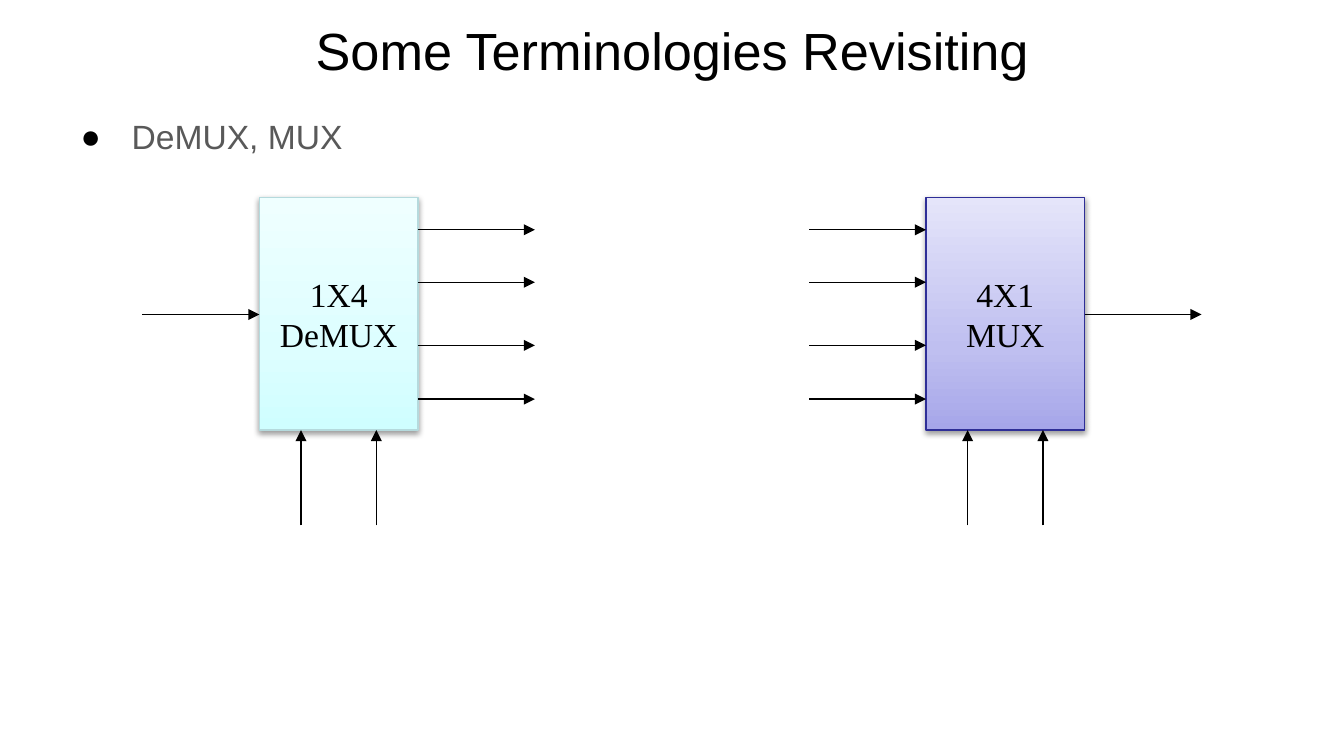
import pptx
import pptx.dml.color
import pptx.enum.shapes
import pptx.enum.text
import pptx.oxml
import pptx.oxml.ns
import pptx.util

Inches = pptx.util.Inches
Pt = pptx.util.Pt
ALIGN = pptx.enum.text.PP_ALIGN
ANCHOR = pptx.enum.text.MSO_ANCHOR

COLORS = {
    "ink": "000000",
    "body": "595959",
    "demux_line": "B5DADD",
    "mux_line": "2E2E97",
}
GRADIENTS = {
    "demux": ((0, "CFFEFF"), (35, "DDFEFF"), (100, "EFFFFF")),
    "mux": ((0, "A6A6E9"), (35, "BFBFF0"), (100, "E5E5FA")),
}
PAGE_WIDTH = 10
PAGE_HEIGHT = PAGE_WIDTH * 9 / 16
BLOCK_TOP, BLOCK_WIDTH, BLOCK_HEIGHT = 1.47, 1.18, 1.73
BLOCK_BOTTOM = BLOCK_TOP + BLOCK_HEIGHT
WIRE = 0.87
SINGLE_Y = 2.34
DATA_YS = (1.71, 2.1, 2.57, 2.97)
SELECT_OFFSETS = (0.31, 0.87)
SELECT_START_Y = 3.91


def rgb(name):
    return pptx.dml.color.RGBColor.from_string(COLORS[name])


def element(tag, attributes="", children=""):
    namespace = pptx.oxml.ns.nsdecls("a")
    return pptx.oxml.parse_xml(f"<a:{tag} {namespace} {attributes}>{children}</a:{tag}>")


def write_text(box, text, *, size, font="Arial", color="ink", align=ALIGN.LEFT,
               anchor=ANCHOR.TOP, spacing=1.0, bullet=None):
    frame = box.text_frame
    frame.text = text
    frame.word_wrap = True
    frame.auto_size = pptx.enum.text.MSO_AUTO_SIZE.NONE
    frame.vertical_anchor = anchor
    frame.margin_left = frame.margin_right = Inches(0.1)
    frame.margin_top = frame.margin_bottom = Inches(0.05)
    for para in frame.paragraphs:
        if bullet:
            add_bullet(para, bullet)
        para.alignment = align
        para.line_spacing = spacing
        para.space_before = Pt(0)
        for span in para.runs:
            span.font.size = Pt(size)
            span.font.name = font
            span.font.color.rgb = rgb(color)


def add_bullet(para, symbol):
    properties = para._p.get_or_add_pPr()
    properties.set("marL", str(Inches(0.38)))
    properties.set("indent", str(Inches(-0.38)))
    properties.append(element("buClr", children=f'<a:srgbClr val="{COLORS["ink"]}"/>'))
    properties.append(element("buFont", 'typeface="Arial"'))
    properties.append(element("buChar", f'char="{symbol}"'))


def place(box, left, top, width, height):
    box.left, box.top = Inches(left), Inches(top)
    box.width, box.height = Inches(width), Inches(height)


def add_block(page, left, text, kind):
    block = page.shapes.add_shape(
        pptx.enum.shapes.MSO_SHAPE.RECTANGLE,
        Inches(left), Inches(BLOCK_TOP), Inches(BLOCK_WIDTH), Inches(BLOCK_HEIGHT))
    block.fill.gradient()
    block.fill.gradient_angle = 90
    stops = "".join(
        f'<a:gs pos="{position * 1000}"><a:srgbClr val="{color}"/></a:gs>'
        for position, color in GRADIENTS[kind])
    properties = block._element.spPr
    old_stops = properties.find(".//" + pptx.oxml.ns.qn("a:gsLst"))
    old_stops.getparent().replace(old_stops, element("gsLst", children=stops))
    block.line.color.rgb = rgb(kind + "_line")
    block.line.width = Pt(0.75)
    block.shadow.inherit = False
    properties.find(pptx.oxml.ns.qn("a:effectLst")).append(element(
        "outerShdw",
        f'blurRad="{Pt(3.1)}" dist="{Pt(1.6)}" dir="5400000" rotWithShape="0"',
        f'<a:srgbClr val="{COLORS["ink"]}"><a:alpha val="38000"/></a:srgbClr>'))
    write_text(block, text, size=18, font="Times New Roman",
               align=ALIGN.CENTER, anchor=ANCHOR.MIDDLE)


def add_arrow(page, start_x, start_y, end_x, end_y):
    arrow = page.shapes.add_connector(
        pptx.enum.shapes.MSO_CONNECTOR.STRAIGHT,
        Inches(start_x), Inches(start_y), Inches(end_x), Inches(end_y))
    arrow.line.color.rgb = rgb("ink")
    arrow.line.width = Pt(0.75)
    arrow.line._get_or_add_ln().append(element("tailEnd", 'type="triangle"'))
    arrow._element.spPr.append(element("effectLst"))


def add_unit(page, left, text, kind, input_ys, output_ys):
    add_block(page, left, text, kind)
    right = left + BLOCK_WIDTH
    for y in input_ys:
        add_arrow(page, left - WIRE, y, left, y)
    for y in output_ys:
        add_arrow(page, right, y, right + WIRE, y)
    for offset in SELECT_OFFSETS:
        add_arrow(page, left + offset, SELECT_START_Y, left + offset, BLOCK_BOTTOM)


def main():
    deck = pptx.Presentation()
    deck.slide_width, deck.slide_height = Inches(PAGE_WIDTH), Inches(PAGE_HEIGHT)
    page = deck.slides.add_slide(deck.slide_layouts[1])

    title = page.shapes.title
    place(title, 0.5, 0.06, 9, 0.62)
    write_text(title, "Some Terminologies Revisiting", size=28,
               align=ALIGN.CENTER, anchor=ANCHOR.MIDDLE)

    body = page.placeholders[1]
    place(body, 0.5, 0.77, 9, 4.26)
    write_text(body, "DeMUX, MUX", size=18, color="body", spacing=1.15, bullet="●")

    add_unit(page, 1.93, "1X4\nDeMUX", "demux", [SINGLE_Y], DATA_YS)
    add_unit(page, 6.89, "4X1\nMUX", "mux", DATA_YS, [SINGLE_Y])

    deck.save("out.pptx")


if __name__ == "__main__":
    main()
